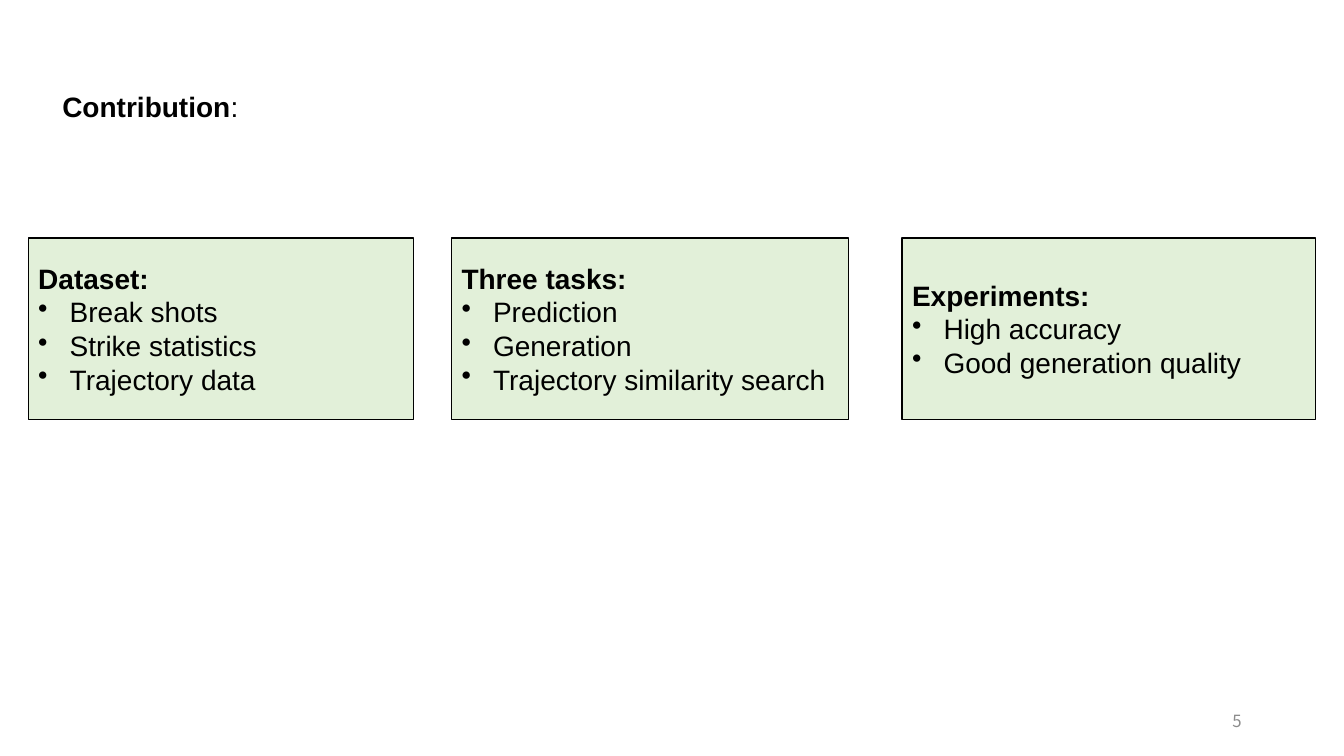
from pptx import Presentation
from pptx.dml.color import RGBColor
from pptx.enum.shapes import MSO_SHAPE
from pptx.enum.text import MSO_ANCHOR, PP_ALIGN
from pptx.oxml.ns import qn
from pptx.util import Pt
from lxml import etree

BLACK = "000000"
GREEN = "E2F0D9"
GRAY = "8C8C8C"
CARD_TOP, CARD_HEIGHT = 169.9, 129.6
CARDS = [
    (20.2, 275, "Dataset:", ["Break shots", "Strike statistics", "Trajectory data"]),
    (322.6, 283.7, "Three tasks:",
     ["Prediction", "Generation", "Trajectory similarity search"]),
    (644.4, 295.2, "Experiments:", ["High accuracy", "Good generation quality"]),
]


def color(value):
    return RGBColor.from_string(value)


def style(paragraph, size=20, name="Arial", fill=BLACK, bold=None):
    font = paragraph.font
    font.size, font.name, font.bold = Pt(size), name, bold
    font.color.rgb = color(fill)


def add_bullet(paragraph):
    properties = paragraph._p.get_or_add_pPr()
    properties.set("marL", str(Pt(22.5)))
    properties.set("indent", str(Pt(-22.5)))
    bullet = etree.Element(qn("a:buChar"), char="•")
    # The schema puts the bullet ahead of the default run properties.
    properties.insert(0, bullet)


def add_text_frame(slide, left, top, width, height):
    frame = slide.shapes.add_textbox(Pt(left), Pt(top), Pt(width), Pt(height)).text_frame
    frame.word_wrap = True
    return frame


def add_title(slide):
    paragraph = add_text_frame(slide, 37.4, 63.4, 833.8, 397.4).paragraphs[0]
    style(paragraph)
    paragraph.line_spacing = 0.9
    paragraph.space_before = Pt(10)
    for text, bold in (("Contribution", True), (":", False)):
        run = paragraph.add_run()
        run.text = text
        run.font.bold = bold


def add_card(slide, left, width, heading, items):
    shape = slide.shapes.add_shape(
        MSO_SHAPE.RECTANGLE, Pt(left), Pt(CARD_TOP), Pt(width), Pt(CARD_HEIGHT))
    shape.shadow.inherit = False
    shape.fill.solid()
    shape.fill.fore_color.rgb = color(GREEN)
    shape.line.color.rgb = color(BLACK)
    shape.line.width = Pt(1)
    frame = shape.text_frame
    frame.word_wrap = True
    frame.vertical_anchor = MSO_ANCHOR.MIDDLE
    frame.text = "\n".join([heading, *items])
    for index, paragraph in enumerate(frame.paragraphs):
        paragraph.alignment = PP_ALIGN.LEFT
        style(paragraph, bold=index == 0)
        if index > 0:
            add_bullet(paragraph)


def add_page_number(slide, number):
    frame = add_text_frame(slide, 678, 500.5, 216, 28.8)
    frame.vertical_anchor = MSO_ANCHOR.MIDDLE
    paragraph = frame.paragraphs[0]
    paragraph.text = str(number)
    paragraph.alignment = PP_ALIGN.RIGHT
    style(paragraph, 12, "Noto Sans CJK SC", GRAY)


def main():
    presentation = Presentation()
    presentation.slide_width, presentation.slide_height = Pt(960), Pt(540)
    slide = presentation.slides.add_slide(presentation.slide_layouts[6])
    add_page_number(slide, 5)
    for card in CARDS:
        add_card(slide, *card)
    add_title(slide)
    presentation.save("out.pptx")


if __name__ == "__main__":
    main()
